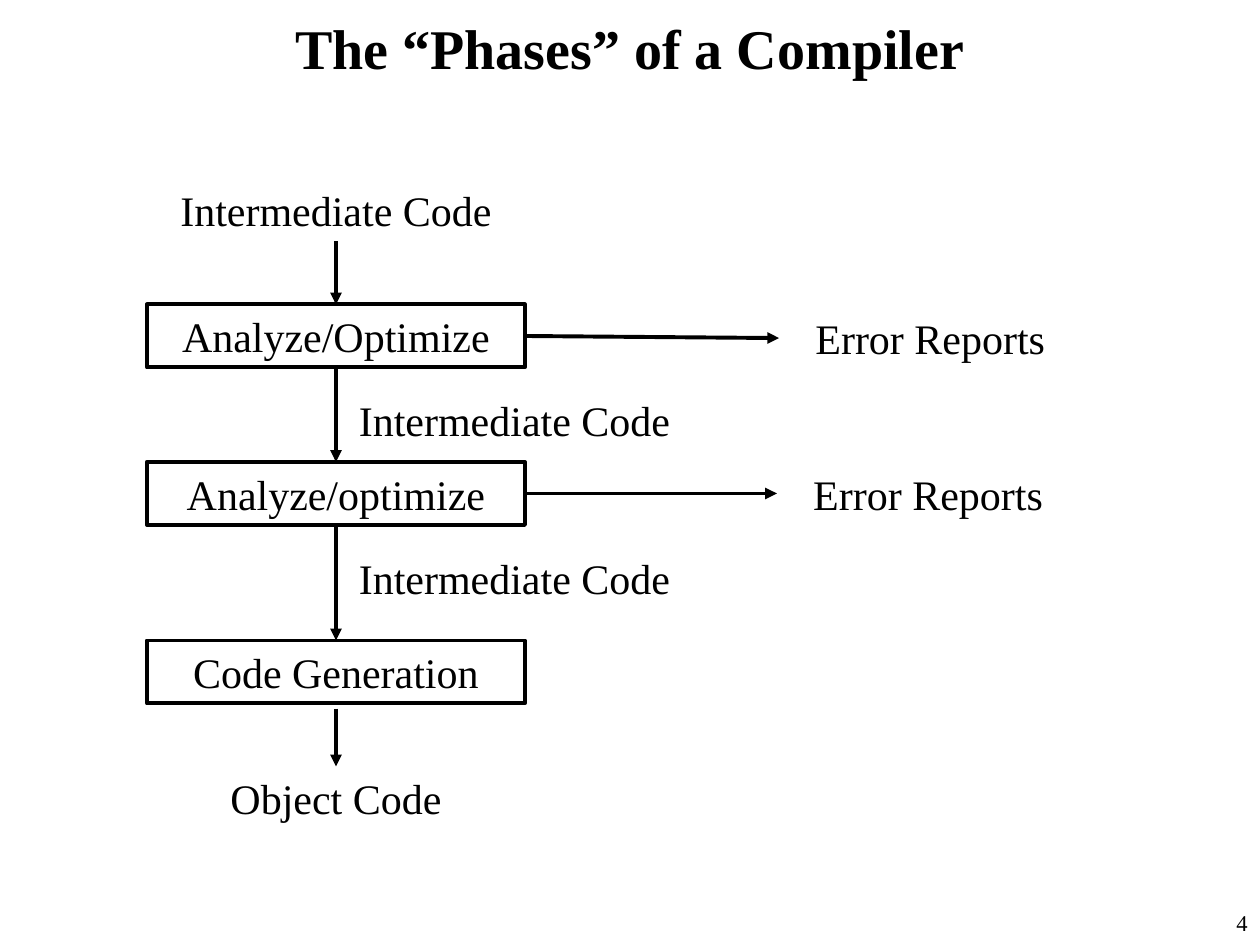
from pptx import Presentation
from pptx.dml.color import RGBColor as RGB
from pptx.enum.shapes import MSO_CONNECTOR as CONN, MSO_SHAPE as SHAPE
from pptx.enum.text import MSO_ANCHOR as ANCHOR, PP_ALIGN as ALIGN
from pptx.oxml.ns import qn
from pptx.util import Inches, Pt
from lxml import etree

COLORS = {"ink": "000000", "paper": "FFFFFF"}
FONT = "Times New Roman"

prs = Presentation()
prs.slide_width, prs.slide_height = Inches(10), Inches(7.5)
COL, ROW = prs.slide_width / 120, prs.slide_height / 90
s = prs.slides.add_slide(prs.slide_layouts[5])
s.background.fill.solid()
s.background.fill.fore_color.rgb = RGB.from_string(COLORS["paper"])


def write(text, at, sp=None, size=24, bold=False, align=ALIGN.CENTER, anchor=ANCHOR.TOP):
    x, y, w, h = int(at[0] * COL), int(at[1] * ROW), int(at[2] * COL), int(at[3] * ROW)
    if sp is None:
        sp = s.shapes.add_textbox(x, y, w, h)
    sp.left, sp.top, sp.width, sp.height = x, y, w, h
    tf = sp.text_frame
    tf.word_wrap = True
    tf.vertical_anchor = anchor
    p = tf.paragraphs[0]
    p.alignment = align
    r = p.add_run()
    r.text = text
    r.font.name, r.font.size, r.font.bold = FONT, Pt(size), bold
    r.font.color.rgb = RGB.from_string(COLORS["ink"])
    return sp


def arrow(start, end, begin=None, finish=None):
    c = s.shapes.add_connector(CONN.STRAIGHT, int(start[0] * COL), int(start[1] * ROW),
                               int(end[0] * COL), int(end[1] * ROW))
    if begin:
        c.begin_connect(*begin)
    if finish:
        c.end_connect(*finish)
    c.line.color.rgb = RGB.from_string(COLORS["ink"])
    c.line.width = Pt(2.25)
    etree.SubElement(c.line._get_or_add_ln(), qn("a:tailEnd"), type="triangle")
    etree.SubElement(c._element.spPr, qn("a:effectLst"))


write("The “Phases” of a Compiler", (0, 0, 120, 9), s.shapes.title,
      size=32, bold=True, anchor=ANCHOR.MIDDLE)
write("4", (111, 86, 9, 4), size=12.9, align=ALIGN.RIGHT)

phases = []
for text, row in (("Analyze/Optimize", 29), ("Analyze/optimize", 44), ("Code Generation", 61)):
    sp = s.shapes.add_shape(SHAPE.RECTANGLE, 0, 0, 0, 0)
    sp.shadow.inherit = False
    sp.fill.background()
    sp.line.color.rgb = RGB.from_string(COLORS["ink"])
    sp.line.width = Pt(2.25)
    phases.append(write(text, (14, row, 36, 6), sp))

source = write("Intermediate Code", (15, 17, 34, 6))
for row, width in ((37, 38), (52, 54)):
    write("Intermediate Code", (33, row, width, 6), align=ALIGN.LEFT)
target = write("Object Code", (15, 73, 34, 6))

chain = [source] + phases
for upper, lower in zip(chain, chain[1:]):
    arrow((32, 23), (32, 29), (upper, 2), (lower, 0))
arrow((32, 67.5), (32, 73), finish=(target, 0))

for phase, col, row in ((phases[0], 74.2, 29.2), (phases[1], 74, 44)):
    report = write("Error Reports", (col, row, 28.8, 6))
    arrow((50, row + 3), (col, row + 3), (phase, 3), (report, 1))

prs.save("out.pptx")
